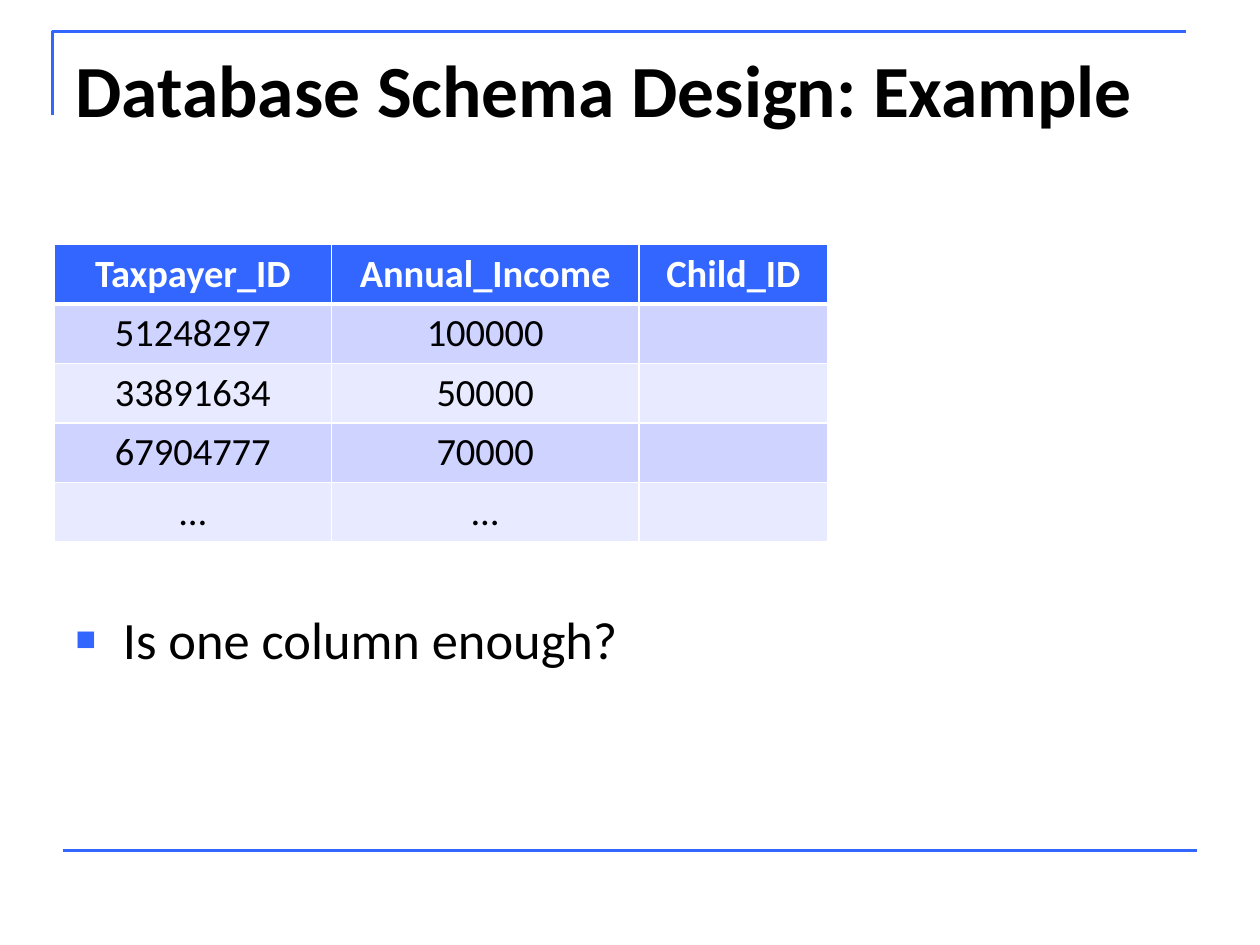
from dataclasses import dataclass

from lxml import etree
from pptx import Presentation
from pptx.dml.color import RGBColor
from pptx.enum import shapes, text
from pptx.oxml import ns
from pptx.util import Pt


@dataclass(frozen=True)
class Theme:
    font: str = "Calibri"
    accent: str = "3366FF"
    ink: str = "000000"
    paper: str = "FFFFFF"
    bands: tuple = ("CED3FF", "E8EAFF")
    title_size: float = 42
    body_size: float = 30
    table_size: float = 22
    rule_width: float = 1.5


THEME = Theme()
COLUMN_WIDTHS = (158.4, 175.7, 108)
ROW_HEIGHT = 34
TABLE_ROWS = (
    ("Taxpayer_ID", "Annual_Income", "Child_ID"),
    ("51248297", "100000", ""),
    ("33891634", "50000", ""),
    ("67904777", "70000", ""),
    ("…", "…", ""),
)


def rgb(value):
    return RGBColor.from_string(value)


def add_xml(parent, tag, **attributes):
    return etree.SubElement(parent, ns.qn(tag), attributes)


def add_run(paragraph, words, size, color, bold=False):
    run = paragraph.add_run()
    run.text = words
    run.font.name = THEME.font
    run.font.size = Pt(size)
    run.font.bold = bold
    run.font.color.rgb = rgb(color)


def style_rule(shape):
    shape.line.color.rgb = rgb(THEME.accent)
    shape.line.width = Pt(THEME.rule_width)


def add_corner(slide, left, top, right, bottom):
    builder = slide.shapes.build_freeform(Pt(left), Pt(bottom))
    builder.add_line_segments(
        [(Pt(left), Pt(top)), (Pt(right), Pt(top))], close=False)
    shape = builder.convert_to_shape()
    shape.fill.background()
    shape.shadow.inherit = False
    style_rule(shape)


def add_rule(slide, left, right, y):
    line = slide.shapes.add_connector(
        shapes.MSO_CONNECTOR.STRAIGHT, Pt(left), Pt(y), Pt(right), Pt(y))
    style_rule(line)
    add_xml(line._element.spPr, "a:effectLst")


def place_placeholder(shape, left, top, width, height):
    shape.left, shape.top = Pt(left), Pt(top)
    shape.width, shape.height = Pt(width), Pt(height)
    frame = shape.text_frame
    frame.word_wrap = True
    frame.auto_size = text.MSO_AUTO_SIZE.NONE
    frame.vertical_anchor = text.MSO_ANCHOR.TOP
    return frame.paragraphs[0]


def add_bullet(paragraph, indent):
    properties = paragraph._p.get_or_add_pPr()
    properties.set("marL", str(Pt(indent)))
    properties.set("indent", str(-Pt(indent)))
    color = add_xml(properties, "a:buClr")
    add_xml(color, "a:srgbClr", val=THEME.accent)
    add_xml(properties, "a:buSzPct", val="65000")
    add_xml(properties, "a:buChar", char="■")
    paragraph.space_before = Pt(0)


def style_cell(cell, fill, top_border, bottom_border):
    properties = cell._tc.get_or_add_tcPr()
    borders = {"a:lnL": 1, "a:lnR": 1, "a:lnT": top_border, "a:lnB": bottom_border}
    for tag, width in borders.items():
        line = add_xml(properties, tag, w=str(Pt(width)))
        add_xml(add_xml(line, "a:solidFill"), "a:srgbClr", val=THEME.paper)
    cell.fill.solid()
    cell.fill.fore_color.rgb = rgb(fill)


def add_data_table(slide, left, top):
    frame = slide.shapes.add_table(
        len(TABLE_ROWS), len(COLUMN_WIDTHS), Pt(left), Pt(top),
        Pt(sum(COLUMN_WIDTHS)), Pt(ROW_HEIGHT * len(TABLE_ROWS)))
    table = frame.table
    for column, width in zip(table.columns, COLUMN_WIDTHS):
        column.width = Pt(width)
    for row_index, values in enumerate(TABLE_ROWS):
        header = row_index == 0
        fill = THEME.accent if header else THEME.bands[(row_index - 1) % 2]
        color = THEME.paper if header else THEME.ink
        for column_index, value in enumerate(values):
            cell = table.cell(row_index, column_index)
            # The heavy border separates the header from the data
            style_cell(cell, fill, 3 if row_index == 1 else 1, 3 if header else 1)
            paragraph = cell.text_frame.paragraphs[0]
            paragraph.alignment = text.PP_ALIGN.CENTER
            if value:
                add_run(paragraph, value, THEME.table_size, color, header)


def main():
    presentation = Presentation()
    presentation.slide_width, presentation.slide_height = Pt(720), Pt(540)
    slide = presentation.slides.add_slide(presentation.slide_layouts[1])

    # Frame lines
    add_corner(slide, left=30, top=18, right=678, bottom=66)
    add_rule(slide, left=36, right=684, y=486)

    # Title
    title = place_placeholder(slide.shapes.title, 36, 21.6, 648, 90)
    title.alignment = text.PP_ALIGN.LEFT
    add_run(title, "Database Schema Design: Example",
            THEME.title_size, THEME.ink, bold=True)

    # Taxpayer table
    add_data_table(slide, left=31, top=139.7)

    # Question
    question = place_placeholder(slide.placeholders[1], 36, 343.5, 648, 139)
    add_bullet(question, indent=27)
    add_run(question, "Is one column enough?", THEME.body_size, THEME.ink)

    presentation.save("out.pptx")


if __name__ == "__main__":
    main()
